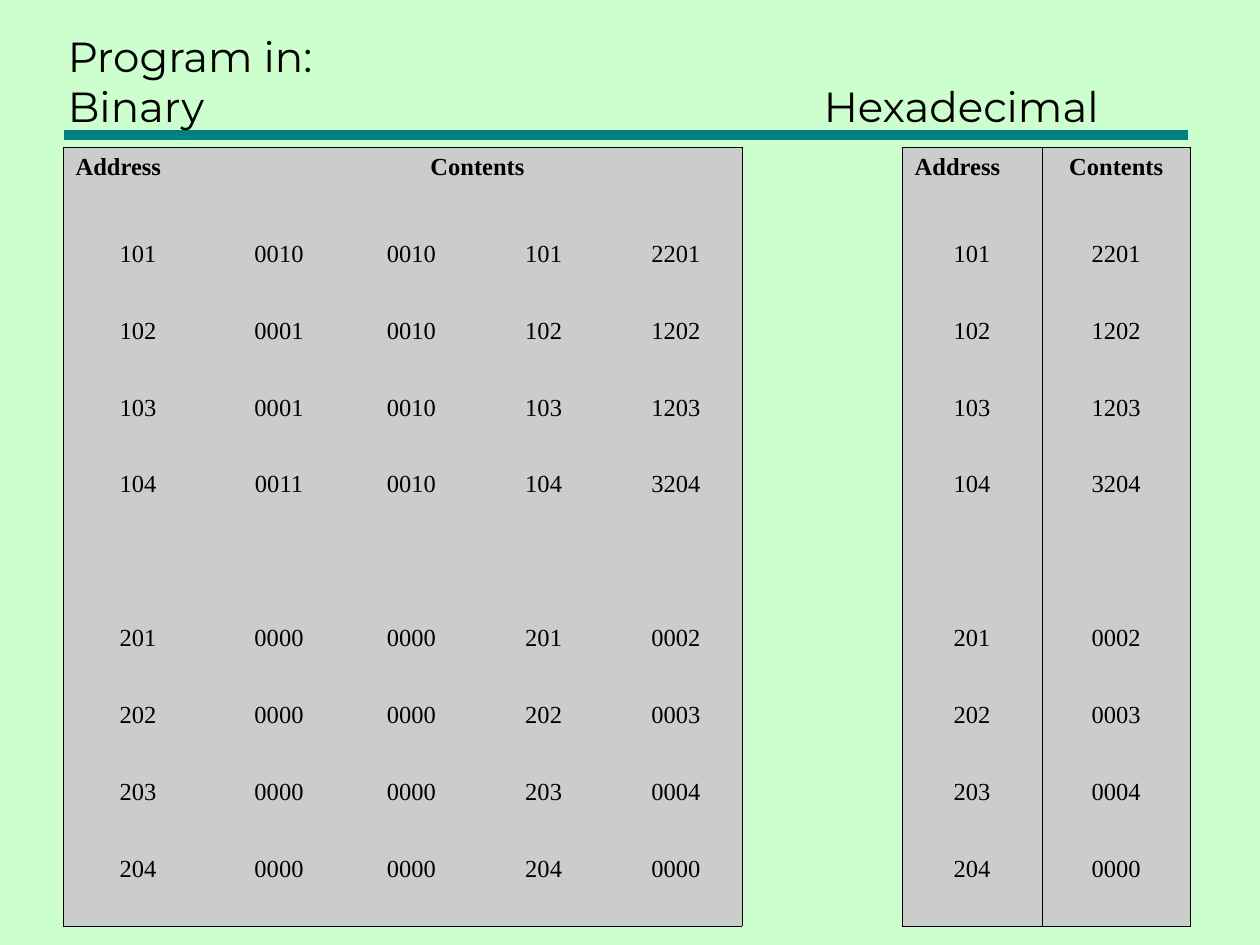
"""Builds a slide listing one program in binary and in hexadecimal."""
from dataclasses import dataclass

from lxml import etree
from pptx import Presentation, util as u
from pptx.dml import color
from pptx.enum import shapes, text
from pptx.oxml import ns

PX = u.Inches(1) // 100
NO_GRID_STYLE = "{2D5ABB26-0587-4C30-8999-92F81FD0307C}"


@dataclass(frozen=True)
class Theme:
    background: str = "CDFFCE"
    ink: str = "000000"
    rule: str = "008080"
    panel: str = "CCCCCC"
    title_font: str = "Montserrat"
    table_font: str = "Times New Roman"
    title_size: int = 24
    table_size: int = 14
    rule_width: int = 6
    border_width: float = 0.45


class SlideBuilder:
    def __init__(self, slide, theme):
        self.slide = slide
        self.theme = theme
        fill = slide.background.fill
        fill.solid()
        fill.fore_color.rgb = color.RGBColor.from_string(theme.background)

    def style(self, paragraph, font, size, bold=False):
        paragraph.font.name = font
        paragraph.font.size = u.Pt(size)
        paragraph.font.bold = bold
        paragraph.font.color.rgb = color.RGBColor.from_string(self.theme.ink)

    def rule(self, left, right, y):
        line = self.slide.shapes.add_connector(
            shapes.MSO_CONNECTOR.STRAIGHT, left * PX, y * PX, right * PX, y * PX)
        line.line.color.rgb = color.RGBColor.from_string(self.theme.rule)
        line.line.width = u.Pt(self.theme.rule_width)
        etree.SubElement(line.element.spPr, ns.qn("a:effectLst"))

    def title(self, wording, left, top, width, height, tab):
        box = self.slide.shapes.add_textbox(left * PX, top * PX, width * PX, height * PX)
        frame = box.text_frame
        frame.word_wrap = True
        frame.vertical_anchor = text.MSO_ANCHOR.BOTTOM
        heading = frame.paragraphs[0]
        heading.text = wording
        self.style(heading, self.theme.title_font, self.theme.title_size)
        stops = etree.Element(ns.qn("a:tabLst"))
        etree.SubElement(stops, ns.qn("a:tab"), pos=str(tab * PX), algn="l")
        heading.font._element.addprevious(stops)

    def borders(self, cell, sides):
        properties = cell._tc.get_or_add_tcPr()
        for position, side in enumerate(sides):
            line = etree.Element(ns.qn(f"a:ln{side}"), w=str(u.Pt(self.theme.border_width)))
            fill = etree.SubElement(line, ns.qn("a:solidFill"))
            etree.SubElement(fill, ns.qn("a:srgbClr"), val=self.theme.ink)
            properties.insert(position, line)

    def cell(self, cell, wording, is_header, is_gap):
        if is_gap:
            cell.fill.background()
        else:
            cell.fill.solid()
            cell.fill.fore_color.rgb = color.RGBColor.from_string(self.theme.panel)
        entry = cell.text_frame.paragraphs[0]
        entry.text = wording
        left_aligned = wording == "Address"
        entry.alignment = text.PP_ALIGN.LEFT if left_aligned else text.PP_ALIGN.CENTER
        self.style(entry, self.theme.table_font, self.theme.table_size, is_header)

    def listing(self, rows, left, top, widths, heights, gap, header_span):
        frame = self.slide.shapes.add_table(
            len(rows), len(widths), left * PX, top * PX, sum(widths) * PX, sum(heights) * PX)
        table = frame.table
        table.first_row = table.horz_banding = False
        next(frame.element.iter(ns.qn("a:tableStyleId"))).text = NO_GRID_STYLE
        for column, width in zip(table.columns, widths):
            column.width = width * PX
        for row, height in zip(table.rows, heights):
            row.height = height * PX
        first, last = header_span
        table.cell(0, first).merge(table.cell(0, last))
        for r, entries in enumerate(rows):
            for c, wording in enumerate(entries):
                cell = table.cell(r, c)
                self.cell(cell, wording, r == 0, c == gap)
                end = c + cell.span_width - 1 if cell.is_merge_origin else c
                edges = {
                    "L": c in (0, gap, gap + 1),
                    "R": end in (gap - 1, gap, len(widths) - 1),
                    "T": r == 0 and c != gap,
                    "B": r == len(rows) - 1 and c != gap,
                }
                self.borders(cell, [side for side, drawn in edges.items() if drawn])


PROGRAM = [
    ("101", "0010", "0010", "2201"),
    ("102", "0001", "0010", "1202"),
    ("103", "0001", "0010", "1203"),
    ("104", "0011", "0010", "3204"),
    ("", "", "", ""),
    ("201", "0000", "0000", "0002"),
    ("202", "0000", "0000", "0003"),
    ("203", "0000", "0000", "0004"),
    ("204", "0000", "0000", "0000"),
]


def main():
    deck = Presentation()
    deck.slide_width, deck.slide_height = 1000 * PX, 750 * PX
    builder = SlideBuilder(deck.slides.add_slide(deck.slide_layouts[6]), Theme())
    builder.rule(51, 943, 107)
    builder.title("Program in:\nBinary\tHexadecimal", 44, 17, 897, 92, tab=600)
    header = ("Address", "Contents", "", "", "", "", "Address", "Contents")
    rows = [header] + [
        (address, opcode, register, address, contents, "", address, contents)
        for address, opcode, register, contents in PROGRAM
    ]
    builder.listing(
        rows, 50, 117, widths=[119] + [105] * 4 + [127, 111, 118],
        heights=[69] + [61] * len(PROGRAM), gap=5, header_span=(1, 4))
    deck.save("out.pptx")


if __name__ == "__main__":
    main()
